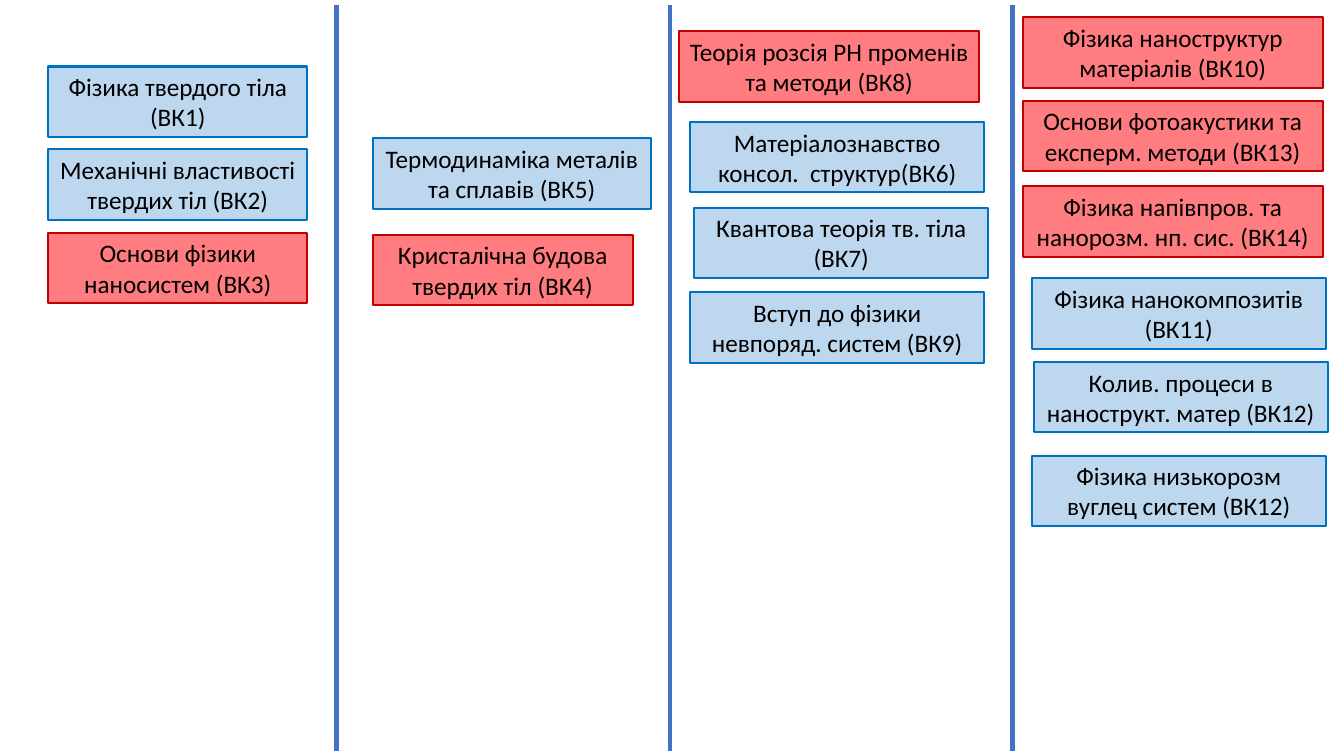
from lxml import etree
from pptx import Presentation
from pptx.dml.color import RGBColor
from pptx.enum.shapes import MSO_CONNECTOR, MSO_SHAPE
from pptx.enum.text import MSO_ANCHOR, MSO_AUTO_SIZE, PP_ALIGN
from pptx.oxml.ns import qn
from pptx.util import Pt

PX = 9144
RECTANGLE = MSO_SHAPE.RECTANGLE
STRAIGHT = MSO_CONNECTOR.STRAIGHT
TOP = MSO_ANCHOR.TOP
GROW = MSO_AUTO_SIZE.SHAPE_TO_FIT_TEXT
CENTER = PP_ALIGN.CENTER

DIVIDER_BLUE = RGBColor(0x44, 0x72, 0xC4)
PALE_BLUE = RGBColor(0xBD, 0xD7, 0xEE)
BLUE = RGBColor(0x00, 0x70, 0xC0)
PALE_RED = RGBColor(0xFF, 0x7C, 0x80)
RED = RGBColor(0xC0, 0x00, 0x00)
BLACK = RGBColor(0x00, 0x00, 0x00)

BLUE_STYLE = {"fill": PALE_BLUE, "outline": BLUE}
RED_STYLE = {"fill": PALE_RED, "outline": RED}
COURSE_HEIGHT = 70

deck = Presentation()
deck.slide_width = 1334 * PX
deck.slide_height = 750 * PX
page = deck.slides.add_slide(deck.slide_layouts[6])


def add_course(text, *, left, top, width, fill, outline):
    box = page.shapes.add_shape(
        RECTANGLE, left * PX, top * PX, width * PX, COURSE_HEIGHT * PX
    )
    box.shadow.inherit = False
    box.fill.solid()
    box.fill.fore_color.rgb = fill
    box.line.color.rgb = outline
    box.line.width = Pt(1.5)
    frame = box.text_frame
    frame.word_wrap = True
    frame.auto_size = GROW
    frame.vertical_anchor = TOP
    para = frame.paragraphs[0]
    para.alignment = CENTER
    span = para.add_run()
    span.text = text
    span.font.name = "Calibri"
    span.font.size = Pt(18)
    span.font.color.rgb = BLACK


for x in (334, 665, 1005):
    divider = page.shapes.add_connector(STRAIGHT, x * PX, 5 * PX, x * PX, 745 * PX)
    divider.line.color.rgb = DIVIDER_BLUE
    divider.line.width = Pt(3)
    etree.SubElement(divider._element.spPr, qn("a:effectLst"))

courses = [
    ("Фізика твердого тіла (ВК1)", 48, 66, 257, BLUE_STYLE),
    ("Механічні властивості твердих тіл (ВК2)", 48, 148, 257, BLUE_STYLE),
    ("Основи фізики наносистем (ВК3)", 48, 231, 257, RED_STYLE),
    ("Кристалічна будова твердих тіл (ВК4)", 370, 233, 258, RED_STYLE),
    ("Термодинаміка металів та сплавів (ВК5)", 370, 137, 276, BLUE_STYLE),
    ("Теорія розсія РН променів та методи (ВК8)", 674, 31, 298, RED_STYLE),
    ("Матеріалознавство консол.  структур(ВК6)", 685, 121, 292, BLUE_STYLE),
    ("Квантова теорія тв. тіла (ВК7)", 689, 206, 292, BLUE_STYLE),
    ("Вступ до фізики невпоряд. систем (ВК9)", 685, 290, 292, BLUE_STYLE),
    ("Фізика наноструктур матеріалів (ВК10)", 1015, 17, 298, RED_STYLE),
    ("Основи фотоакустики та експерм. методи (ВК13)", 1015, 100, 298, RED_STYLE),
    ("Фізика напівпров. та нанорозм. нп. сис. (ВК14)", 1015, 185, 298, RED_STYLE),
    ("Фізика нанокомпозитів (ВК11)", 1024, 276, 292, BLUE_STYLE),
    ("Колив. процеси в нанострукт. матер (ВК12)", 1026, 359, 292, BLUE_STYLE),
    ("Фізика низькорозм вуглец систем (ВК12)", 1024, 452, 292, BLUE_STYLE),
]
for text, left, top, width, style in courses:
    add_course(text, left=left, top=top, width=width, **style)

deck.save("out.pptx")
